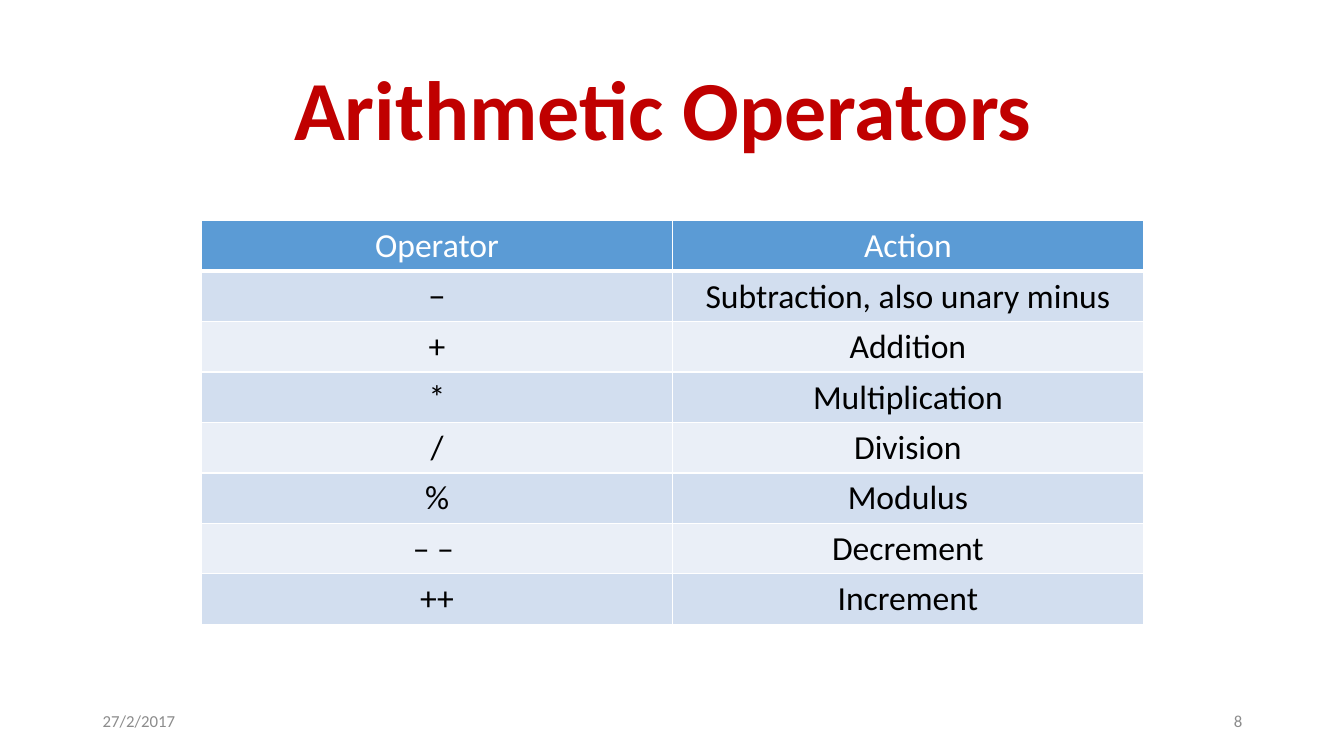
from dataclasses import dataclass

from lxml import etree
from pptx import Presentation
from pptx.dml.color import RGBColor
from pptx.enum.text import MSO_ANCHOR, PP_ALIGN
from pptx.oxml.ns import qn
from pptx.util import Inches, Pt

LEFT, CENTER, RIGHT = PP_ALIGN.LEFT, PP_ALIGN.CENTER, PP_ALIGN.RIGHT
MIDDLE = MSO_ANCHOR.MIDDLE


@dataclass(frozen=True)
class Theme:
    font: str = "Calibri"
    title_size: int = 60
    table_size: int = 24
    footer_size: int = 12
    title: str = "C00000"
    header_fill: str = "5B9BD5"
    header_text: str = "FFFFFF"
    body_text: str = "000000"
    bands: tuple = ("D2DEEF", "EAEFF7")
    border: str = "FFFFFF"
    footer: str = "8C8C8C"


THEME = Theme()

OPERATORS = [
    ("Operator", "Action"),
    ("−", "Subtraction, also unary minus"),
    ("+", "Addition"),
    ("*", "Multiplication"),
    ("/", "Division"),
    ("%", "Modulus"),
    ("– – ", "Decrement"),
    ("++", "Increment"),
]


def style_paragraph(para, size, color, align, bold=False):
    para.alignment = align
    para.font.name = THEME.font
    para.font.size = Pt(size)
    para.font.bold = bold
    para.font.color.rgb = RGBColor.from_string(color)


def add_text(page, box, text, size, color, align, bold=False):
    frame = page.shapes.add_textbox(*map(Inches, box)).text_frame
    frame.word_wrap = True
    frame.vertical_anchor = MIDDLE
    para = frame.paragraphs[0]
    para.text = text
    style_paragraph(para, size, color, align, bold)
    return para


def add_title(page, box):
    para = add_text(page, box, "Arithmetic Operators ", THEME.title_size,
                    THEME.title, CENTER, bold=True)
    para.line_spacing = 0.9


def set_borders(cell, widths):
    """Draw the sides of a cell; widths are in points, keyed by side."""
    properties = cell._tc.get_or_add_tcPr()
    for side, width in widths.items():
        line = etree.SubElement(properties, qn(f"a:ln{side}"), w=str(Pt(width)))
        fill = etree.SubElement(line, qn("a:solidFill"))
        etree.SubElement(fill, qn("a:srgbClr"), val=THEME.border)


def add_operator_table(page, box):
    rows, columns = len(OPERATORS), len(OPERATORS[0])
    table = page.shapes.add_table(rows, columns, *map(Inches, box)).table
    for row, texts in enumerate(OPERATORS):
        header = row == 0
        fill = THEME.header_fill if header else THEME.bands[(row - 1) % 2]
        color = THEME.header_text if header else THEME.body_text
        widths = {"L": 1, "R": 1, "T": 3 if row == 1 else 1, "B": 3 if header else 1}
        for column, text in enumerate(texts):
            cell = table.cell(row, column)
            set_borders(cell, widths)
            cell.fill.solid()
            cell.fill.fore_color.rgb = RGBColor.from_string(fill)
            para = cell.text_frame.paragraphs[0]
            para.text = text
            style_paragraph(para, THEME.table_size, color, CENTER)


def add_footer(page, box):
    left, top, width, height = box
    part_width = 3
    parts = [(left, "27/2/2017", LEFT), (left + width - part_width, "8", RIGHT)]
    for part_left, text, align in parts:
        add_text(page, (part_left, top, part_width, height), text,
                 THEME.footer_size, THEME.footer, align)


def main():
    deck = Presentation()
    deck.slide_width, deck.slide_height = Inches(13.33), Inches(7.5)
    page = deck.slides.add_slide(deck.slide_layouts[6])
    add_title(page, (0.92, 0.4, 11.5, 1.45))
    add_operator_table(page, (2, 2.19, 9.34, 4))
    add_footer(page, (0.92, 6.95, 11.5, 0.4))
    deck.save("out.pptx")


if __name__ == "__main__":
    main()
